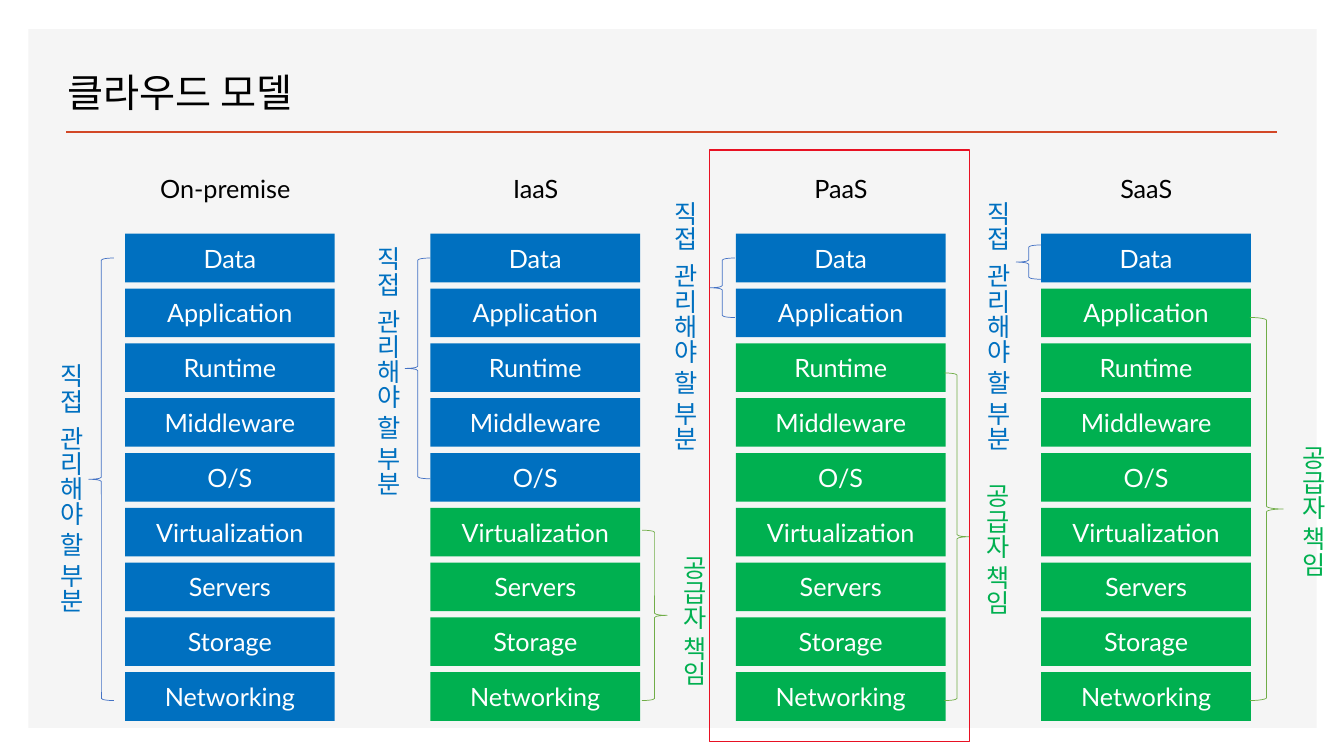
import pptx
import pptx.util
import pptx.dml.color
import pptx.enum.shapes
import pptx.enum.text
import pptx.oxml.ns
import lxml.etree

Pt = pptx.util.Pt
SHAPE = pptx.enum.shapes.MSO_SHAPE
ALIGN = pptx.enum.text.PP_ALIGN
ANCHOR = pptx.enum.text.MSO_ANCHOR
FIT = pptx.enum.text.MSO_AUTO_SIZE

COLORS = {
    "panel": "F5F5F5", "rule": "D24726", "black": "000000", "white": "FFFFFF",
    "own": "0070C0", "provider": "00B050",
    "own_brace": "4472C4", "provider_brace": "70AD47", "highlight": "E81123",
}
LATIN, KOREAN = "Lato", "Noto Sans CJK KR"

TITLE = "클라우드 모델"
LAYERS = ["Data", "Application", "Runtime", "Middleware", "O/S",
          "Virtualization", "Servers", "Storage", "Networking"]
MODELS = [
    {"name": "On-premise", "own": 9, "left": 107.3, "width": 118, "align": ALIGN.LEFT},
    {"name": "IaaS", "own": 5, "left": 357.1, "width": 51, "align": ALIGN.CENTER},
    {"name": "PaaS", "own": 2, "left": 571.7, "width": 58, "align": ALIGN.CENTER},
    {"name": "SaaS", "own": 1, "left": 789.8, "width": 58, "align": ALIGN.CENTER},
]
LABELS = {
    "own": [("직접", 0), (" ", 450), ("관리해야 할 부분", 0)],
    "provider": [("공급자 책임", 0)],
}
BRACES = [
    ("own", 63.4, 184.3, 18, 316.1),
    ("own", 289.4, 184.3, 18, 157.7),
    ("own", 506.9, 184.3, 18, 42.5),
    ("own", 725.8, 175, 18, 24.5),
    ("provider", 458.6, 378.7, 18, 121.7),
    ("provider", 674.6, 266.4, 18, 234),
    ("provider", 892.8, 226.8, 23.8, 273.6),
]
SIDE_LABELS = [
    ("own", 29.5, 252.7, 195.1, False),
    ("own", 255.6, 169.2, 195.1, False),
    ("own", 468, 136.8, 195.1, False),
    ("own", 691.2, 136.8, 195.1, False),
    ("provider", 474.5, 389.5, 104.4, False),
    ("provider", 690.5, 338.4, 104.4, False),
    ("provider", 916.6, 311, 136.1, True),
]
STACK_LEFT, STACK_TOP = 89.3, 167
COLUMN_PITCH, ROW_PITCH = 218.15, 39.15
CELL_WIDTH, CELL_HEIGHT = 149.8, 34.7


def rgb(name):
    return pptx.dml.color.RGBColor.from_string(COLORS[name])


def apply(target, formats):
    for name, value in formats.items():
        setattr(target, name, value)


def write(box, spans, color, size=18, font=LATIN, align=ALIGN.LEFT, **frame):
    apply(box.text_frame, frame)
    para = box.text_frame.paragraphs[0]
    para.alignment = align
    for text, spacing in spans:
        span = para.add_run()
        span.text = text
        apply(span.font, {"size": Pt(size), "name": font})
        span.font.color.rgb = rgb(color)
        properties = span.font._element
        if spacing:
            properties.set("spc", str(spacing))
        east_asian = lxml.etree.SubElement(properties, pptx.oxml.ns.qn("a:ea"))
        east_asian.set("typeface", KOREAN)


def add_box(shapes, kind, area, fill=None, line=None, weight=1):
    box = shapes.add_shape(kind, *map(Pt, area))
    box.shadow.inherit = False
    if fill:
        box.fill.solid()
        box.fill.fore_color.rgb = rgb(fill)
    else:
        box.fill.background()
    if line:
        box.line.color.rgb = rgb(line)
        box.line.width = Pt(weight)
    else:
        box.line.fill.background()
    return box


def add_text(page, area, spans, color, **formats):
    box = page.shapes.add_textbox(*map(Pt, area))
    write(box, spans, color, **formats)
    return box


def add_header(page):
    add_box(page.shapes, SHAPE.RECTANGLE, (20.2, 20.9, 920.2, 499), "panel")
    rule = page.shapes.add_connector(
        pptx.enum.shapes.MSO_CONNECTOR.STRAIGHT, *map(Pt, (47.5, 94.3, 912.2, 94.3)))
    rule.line.color.rgb = rgb("rule")
    rule.line.width = Pt(2)
    lxml.etree.SubElement(rule.element.spPr, pptx.oxml.ns.qn("a:effectLst"))
    add_text(page, (41, 35.3, 541.4, 50.4), [(TITLE, 0)], "black", size=28,
             font=KOREAN, word_wrap=True, vertical_anchor=ANCHOR.BOTTOM)


def add_model(page, column, model):
    stack = page.shapes.add_group_shape()
    left = STACK_LEFT + column * COLUMN_PITCH
    for row, layer in enumerate(LAYERS):
        owner = "own" if row < model["own"] else "provider"
        area = (left, STACK_TOP + row * ROW_PITCH, CELL_WIDTH, CELL_HEIGHT)
        cell = add_box(stack.shapes, SHAPE.RECTANGLE, area, owner)
        write(cell, [(layer, 0)], "white", align=ALIGN.CENTER,
              word_wrap=True, vertical_anchor=ANCHOR.MIDDLE)
    add_text(page, (model["left"], 120.2, model["width"], 29), [(model["name"], 0)],
             "black", align=model["align"], word_wrap=False,
             auto_size=FIT.SHAPE_TO_FIT_TEXT)


def main():
    deck = pptx.Presentation()
    apply(deck, {"slide_width": Pt(960), "slide_height": Pt(540)})
    page = deck.slides.add_slide(deck.slide_layouts[6])
    add_header(page)
    for column, model in enumerate(MODELS):
        add_model(page, column, model)
    for owner, *area in BRACES:
        kind = SHAPE.LEFT_BRACE if owner == "own" else SHAPE.RIGHT_BRACE
        add_box(page.shapes, kind, area, line=owner + "_brace", weight=0.5)
    for owner, left, top, height, wrap in SIDE_LABELS:
        label = add_text(page, (left, top, 36, height), LABELS[owner], owner,
                         word_wrap=wrap, auto_size=FIT.SHAPE_TO_FIT_TEXT)
        label.element.txBody.bodyPr.set("vert", "eaVert")
    add_box(page.shapes, SHAPE.RECTANGLE, (506.9, 107.3, 185.8, 422.6), line="highlight")
    deck.save("out.pptx")


if __name__ == "__main__":
    main()
